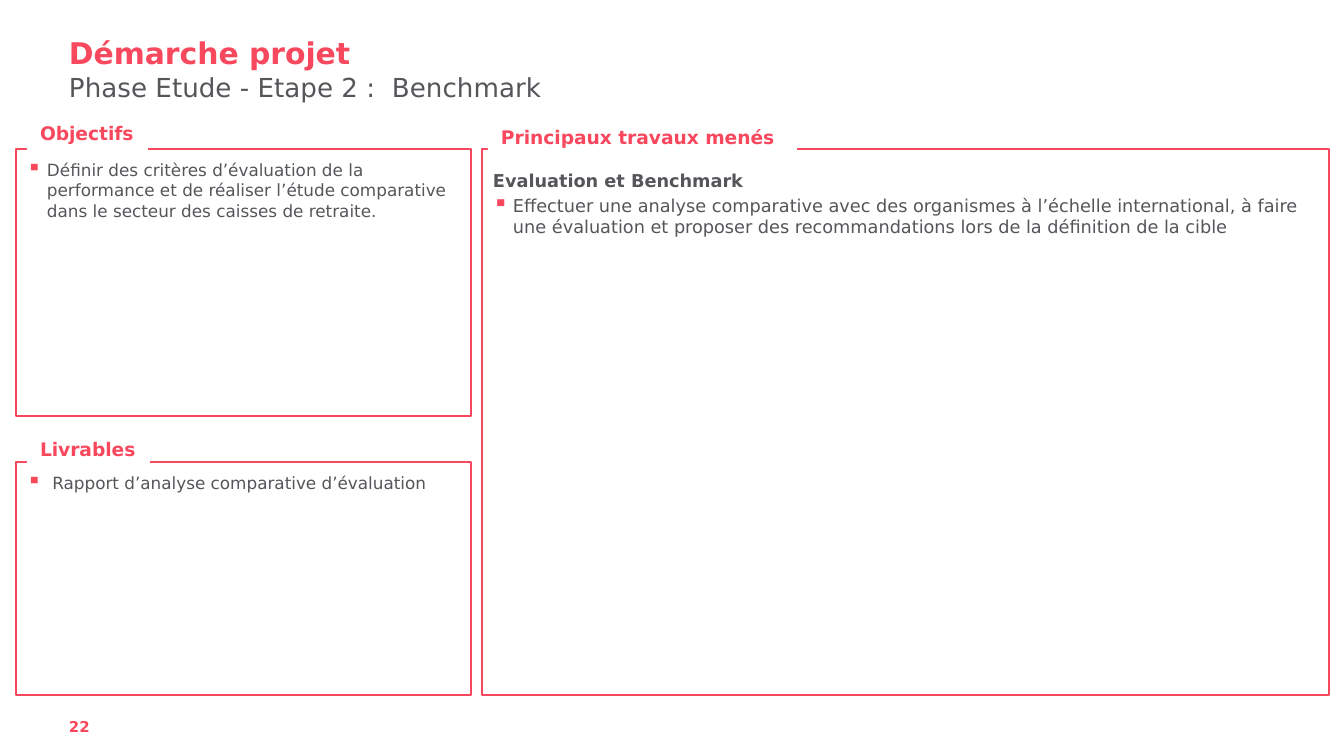
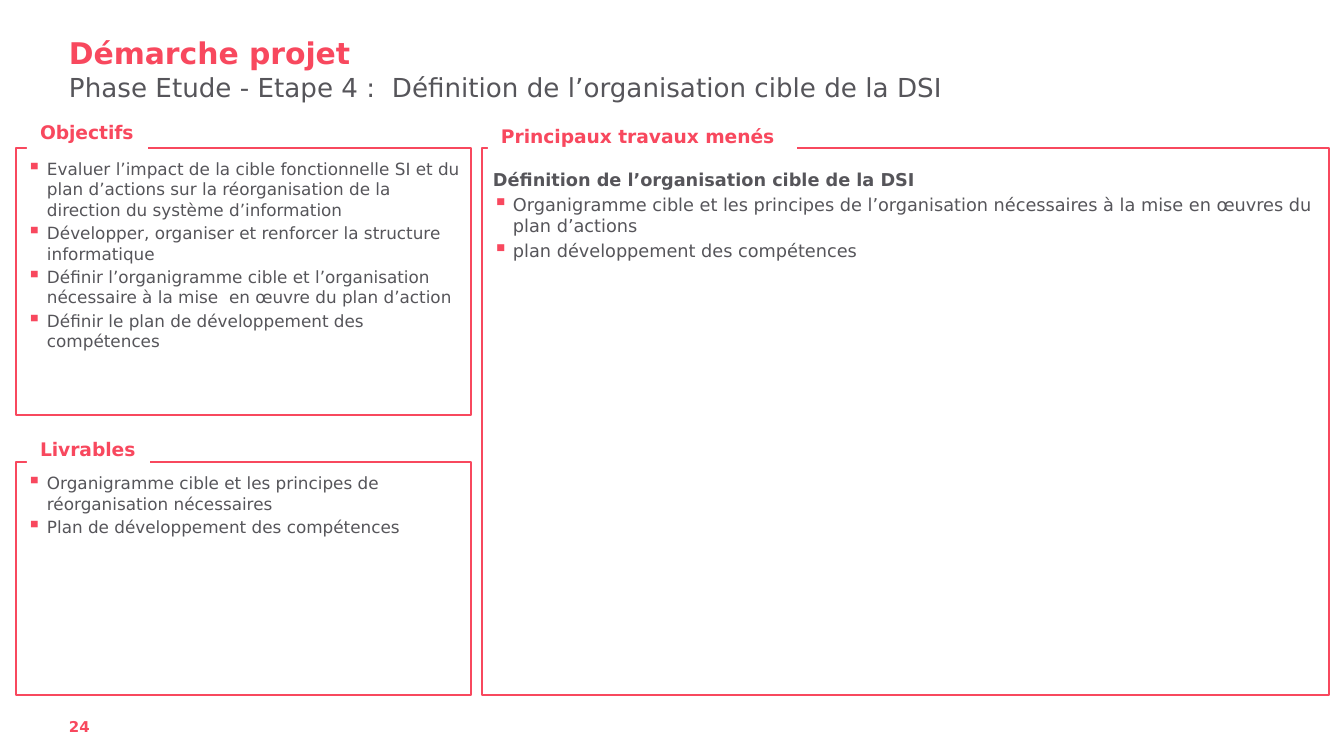
import lxml.etree
import pptx
import pptx.dml.color
import pptx.enum.shapes
import pptx.enum.text
import pptx.oxml.ns
import pptx.util

EMU_PER_PX = 914400 / 134.4
FONT = "DejaVu Sans"
COLORS = {"accent": "F8485E", "body": "56555A", "paper": "FFFFFF"}
BULLET_INDENT = 20
PANEL_INSET = 11
LABEL_HEIGHT = 36

STEPS = [
    {
        "number": "22",
        "subtitle": "Phase Etude - Etape 2 :  Benchmark",
        "top": 149,
        "goals": [
            "Définir des critères d’évaluation de la performance et de réaliser "
            "l’étude comparative dans le secteur des caisses de retraite.",
        ],
        "deliverables": [" Rapport d’analyse comparative d’évaluation"],
        "work_heading": "Evaluation et Benchmark",
        "work": [
            "Effectuer une analyse comparative avec des organismes à l’échelle "
            "international, à faire une évaluation et proposer des "
            "recommandations lors de la définition de la cible",
        ],
    },
    {
        "number": "24",
        "subtitle": "Phase Etude - Etape 4 :  Définition de l’organisation cible de la DSI",
        "top": 148,
        "goals": [
            "Evaluer l’impact de la cible fonctionnelle SI et du plan d’actions "
            "sur la réorganisation de la direction du système d’information",
            "Développer, organiser et renforcer la structure informatique",
            "Définir l’organigramme cible et l’organisation nécessaire à la "
            "mise  en œuvre du plan d’action",
            "Définir le plan de développement des compétences",
        ],
        "deliverables": [
            "Organigramme cible et les principes de réorganisation nécessaires",
            "Plan de développement des compétences",
        ],
        "work_heading": "Définition de l’organisation cible de la DSI",
        "work": [
            "Organigramme cible et les principes de l’organisation nécessaires "
            "à la mise en œuvres du plan d’actions",
            "plan développement des compétences",
        ],
    },
]


def px(length):
    """Turn pixels into EMU."""
    return pptx.util.Emu(round(length * EMU_PER_PX))


def color(name):
    """Look up a colour of the palette."""
    return pptx.dml.color.RGBColor.from_string(COLORS[name])


def set_font(paragraph, size, color_name, bold=False):
    """Style a whole paragraph."""
    paragraph.font.name = FONT
    paragraph.font.size = pptx.util.Pt(size)
    paragraph.font.bold = bold
    paragraph.font.color.rgb = color(color_name)


def set_frame(frame, insets, anchor=pptx.enum.text.MSO_ANCHOR.TOP):
    """Set wrapping, insets (left, top, right, bottom) and anchor."""
    frame.word_wrap = True
    frame.vertical_anchor = anchor
    frame.margin_left, frame.margin_top, frame.margin_right, frame.margin_bottom = map(px, insets)


def add_bullet(paragraph):
    """Give a paragraph the small square bullet with a hanging indent."""
    properties = paragraph._p.get_or_add_pPr()
    properties.set("marL", str(px(BULLET_INDENT)))
    properties.set("indent", str(-px(BULLET_INDENT)))
    qn = pptx.oxml.ns.qn
    bullet_color = lxml.etree.SubElement(properties, qn("a:buClr"))
    lxml.etree.SubElement(bullet_color, qn("a:srgbClr"), val=COLORS["accent"])
    lxml.etree.SubElement(properties, qn("a:buSzPct"), val="120000")
    lxml.etree.SubElement(properties, qn("a:buChar"), char="▪")


def add_line_of_text(slide, box, text, size, color_name, bold=False,
                     inset_top=0, anchor=pptx.enum.text.MSO_ANCHOR.TOP):
    """Add a one-paragraph text box."""
    frame = slide.shapes.add_textbox(*map(px, box)).text_frame
    set_frame(frame, (0, inset_top, 0, 0), anchor)
    frame.text = text
    set_font(frame.paragraphs[0], size, color_name, bold)


def add_rectangle(slide, box):
    """Add a plain rectangle without shadow."""
    rectangle = slide.shapes.add_shape(
        pptx.enum.shapes.MSO_SHAPE.RECTANGLE, *map(px, box))
    rectangle.shadow.inherit = False
    return rectangle


def add_label(slide, box, text):
    """Add the white label that interrupts a panel's top border."""
    label = add_rectangle(slide, box)
    label.fill.solid()
    label.fill.fore_color.rgb = color("paper")
    label.line.fill.background()
    set_frame(label.text_frame, (13, 7, 0, 7))
    label.text_frame.text = text
    title = label.text_frame.paragraphs[0]
    title.alignment = pptx.enum.text.PP_ALIGN.LEFT
    set_font(title, 10, "accent", True)


def add_panel(slide, box, label, label_offset, label_width, items,
              size=9, border=1, heading=None):
    """Add an outlined panel with its label, optional heading and bullets."""
    left, top, _, _ = box
    panel = add_rectangle(slide, box)
    panel.fill.background()
    panel.line.color.rgb = color("accent")
    panel.line.width = pptx.util.Pt(border)
    frame = panel.text_frame
    inset_top = PANEL_INSET + (10 if heading else 0)
    set_frame(frame, (PANEL_INSET, inset_top, PANEL_INSET, PANEL_INSET))
    texts = ([heading] if heading else []) + items
    for index, text in enumerate(texts):
        paragraph = frame.add_paragraph() if index else frame.paragraphs[0]
        paragraph.text = text
        is_heading = bool(heading) and index == 0
        if not is_heading:
            add_bullet(paragraph)
        paragraph.alignment = pptx.enum.text.PP_ALIGN.LEFT
        if index:
            paragraph.space_before = pptx.util.Pt(0.2 * size)
        set_font(paragraph, size, "body", is_heading)
    shift, rise = label_offset
    add_label(slide, (left + shift, top - rise, label_width, LABEL_HEIGHT), label)


def add_header_and_number(slide, subtitle, number):
    """Add the shared title, the subtitle and the page number."""
    add_line_of_text(slide, (69, 0, 1207, 71), "Démarche projet", 16, "accent", True,
                     anchor=pptx.enum.text.MSO_ANCHOR.BOTTOM)
    add_line_of_text(slide, (69, 71, 1207, 69), subtitle, 14, "body")
    add_line_of_text(slide, (69, 711, 95, 45), number, 8, "accent", True, inset_top=7)


def add_step_slide(deck, step):
    """Build one project step: goals, deliverables and work done."""
    slide = deck.slides.add_slide(deck.slide_layouts[6])
    add_header_and_number(slide, step["subtitle"], step["number"])
    top, bottom = step["top"], 695
    add_panel(slide, (16, top, 455, 267), "Objectifs", (11, 34), 121, step["goals"])
    add_panel(slide, (482, top, 847, bottom - top), "Principaux travaux menés",
              (6, 30), 309, step["work"], size=9.5, heading=step["work_heading"])
    add_panel(slide, (16, 462, 455, bottom - 462), "Livrables", (11, 31), 123,
              step["deliverables"], border=0.75)


def main():
    """Build the deck and save it."""
    deck = pptx.Presentation()
    deck.slide_width, deck.slide_height = px(1344), px(756)
    for step in STEPS:
        add_step_slide(deck, step)
    deck.save("out.pptx")


if __name__ == "__main__":
    main()
